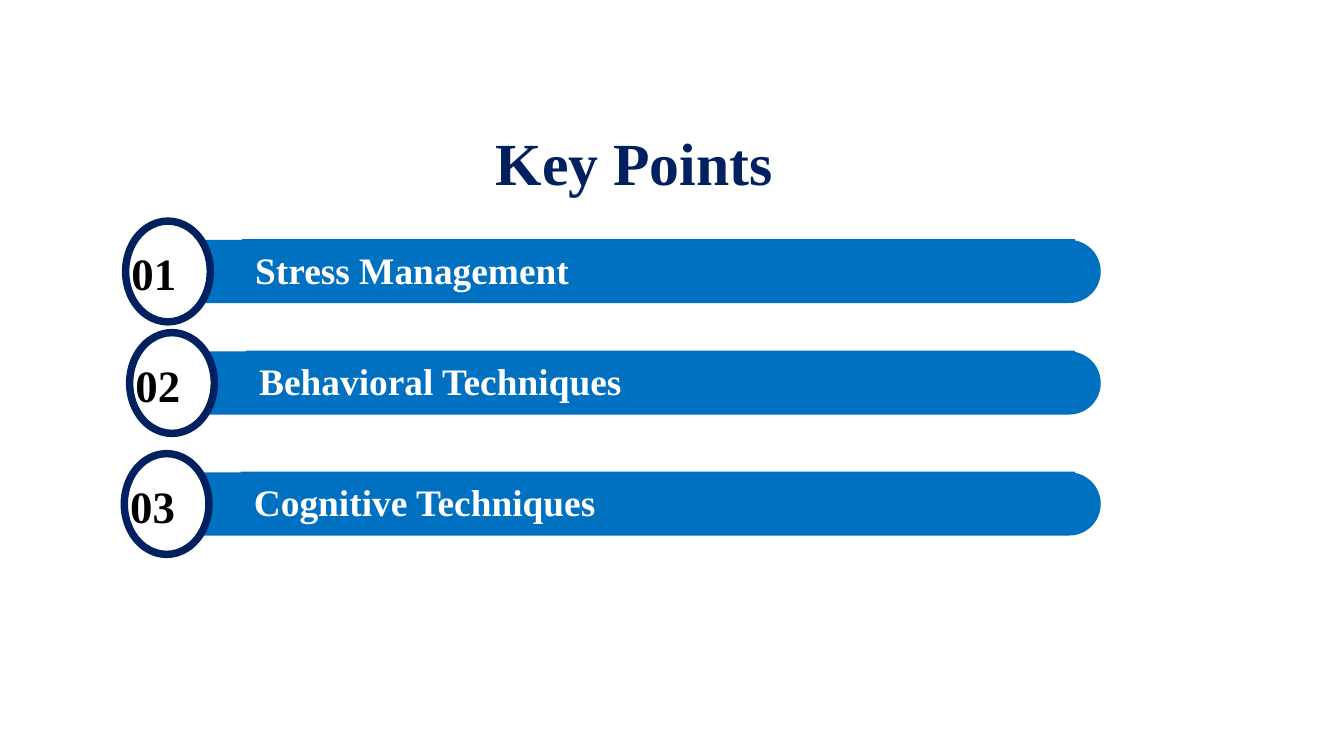
from pptx import Presentation
from pptx.dml.color import RGBColor
from pptx.enum.shapes import MSO_SHAPE
from pptx.enum.text import MSO_ANCHOR, PP_ALIGN
from pptx.util import Inches, Pt

TITLE = "Key Points"
# number, label, left end of the bar, vertical centre of the row
POINTS = [
    ("01", "Stress Management", 1.25, 2.02),
    ("02", "Behavioral Techniques", 1.28, 2.85),
    ("03", "Cognitive Techniques", 1.24, 3.75),
]
COLORS = {"navy": "002060", "blue": "0070C0", "white": "FFFFFF", "black": "000000"}
FONT = "Times New Roman"
BAR_RIGHT, BAR_HEIGHT = 8.19, 0.47
BADGE_WIDTH, BADGE_HEIGHT = 0.63, 0.75
NUMBER_WIDTH, NUMBER_HEIGHT = 0.74, 0.4
LABEL_INSET, LABEL_RIGHT, LABEL_HEIGHT = 0.55, 8.0, 0.44


def color(name):
    return RGBColor.from_string(COLORS[name])


def write(shape, text, size, ink, align, anchor, inset=0.05):
    frame = shape.text_frame
    frame.text = text
    frame.word_wrap = True
    frame.vertical_anchor = anchor
    frame.margin_left = frame.margin_right = Inches(0.1)
    frame.margin_top = frame.margin_bottom = Inches(inset)
    para = frame.paragraphs[0]
    para.alignment = align
    font = para.runs[0].font
    font.name, font.size, font.bold = FONT, Pt(size), True
    font.color.rgb = color(ink)


def centred(middle_x, middle_y, width, height):
    """Return left, top, width and height of a box around a middle point."""
    return [Inches(n) for n in (middle_x - width / 2, middle_y - height / 2, width, height)]


def add_filled(shapes, kind, box, fill):
    shape = shapes.add_shape(kind, *box)
    shape.shadow.inherit = False
    shape.fill.solid()
    shape.fill.fore_color.rgb = color(fill)
    shape.line.fill.background()
    return shape


def add_point(page, number, label, left, middle):
    shapes = page.shapes.add_group_shape().shapes

    # The bar is an upright shape turned so that its round end points right.
    bar_box = centred((left + BAR_RIGHT) / 2, middle, BAR_HEIGHT, BAR_RIGHT - left)
    bar = add_filled(shapes, MSO_SHAPE.ROUND_2_SAME_RECTANGLE, bar_box, "blue")
    bar.adjustments[0], bar.adjustments[1] = 0.5, 0
    bar.rotation = 90

    badge_box = centred(left, middle, BADGE_WIDTH, BADGE_HEIGHT)
    badge = add_filled(shapes, MSO_SHAPE.OVAL, badge_box, "white")
    badge.line.color.rgb = color("navy")
    badge.line.width = Pt(4)

    number_box = shapes.add_textbox(*centred(left, middle + 0.01, NUMBER_WIDTH, NUMBER_HEIGHT))
    write(number_box, number, 24, "black", PP_ALIGN.JUSTIFY, MSO_ANCHOR.BOTTOM, 0)

    label_left = left + LABEL_INSET
    label_box = centred((label_left + LABEL_RIGHT) / 2, middle - 0.02,
                        LABEL_RIGHT - label_left, LABEL_HEIGHT)
    label_shape = add_filled(shapes, MSO_SHAPE.RECTANGLE, label_box, "blue")
    write(label_shape, label, 20, "white", PP_ALIGN.LEFT, MSO_ANCHOR.BOTTOM)


def main():
    deck = Presentation()
    deck.slide_width = Inches(10)
    deck.slide_height = deck.slide_width * 9 // 16
    page = deck.slides.add_slide(deck.slide_layouts[5])

    title = page.shapes.title
    title.left, title.top, title.width, title.height = centred(4.72, 1.2, 3.86, 0.63)
    write(title, TITLE, 32, "navy", PP_ALIGN.CENTER, MSO_ANCHOR.MIDDLE)

    for point in POINTS:
        add_point(page, *point)
    deck.save("out.pptx")


if __name__ == "__main__":
    main()
